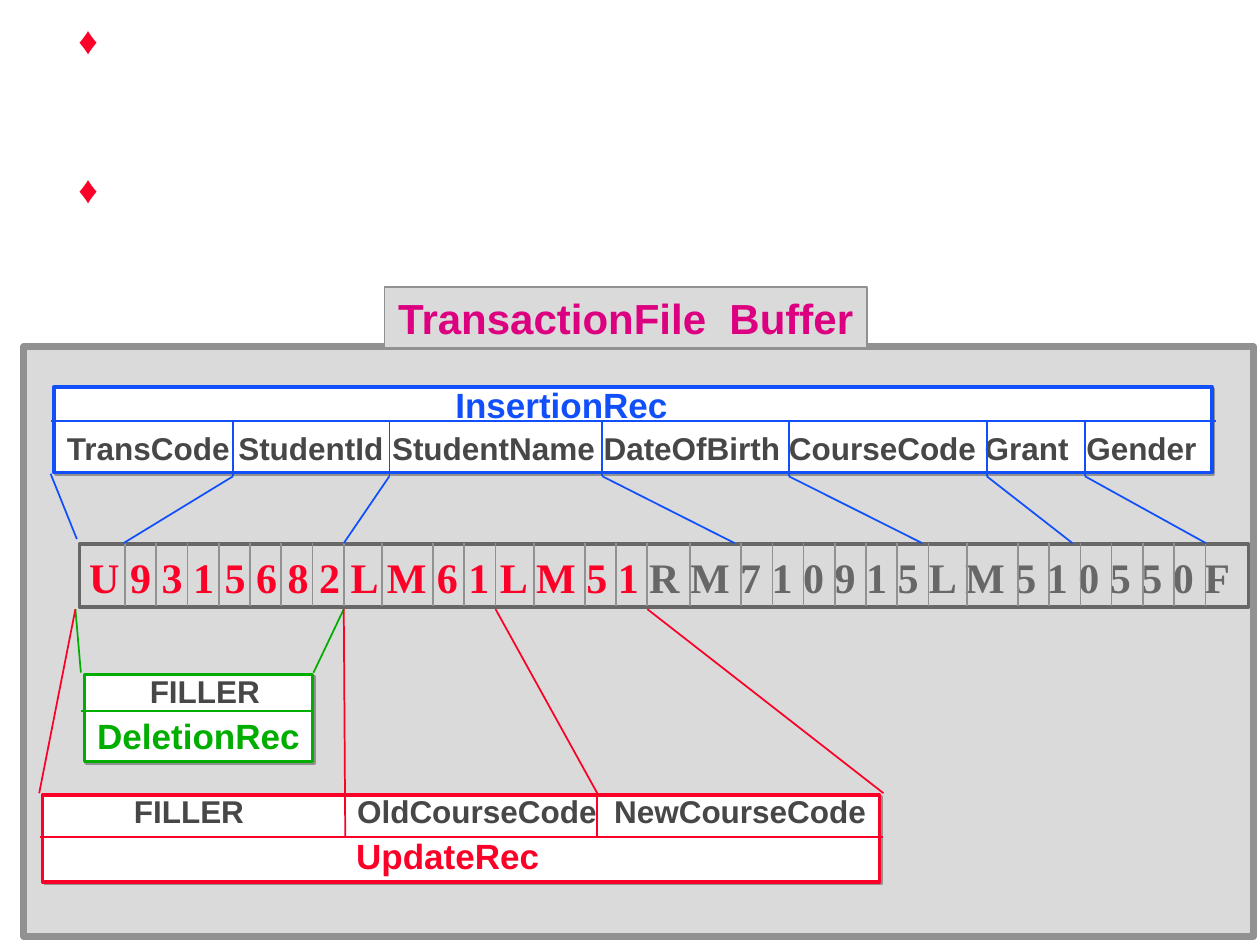
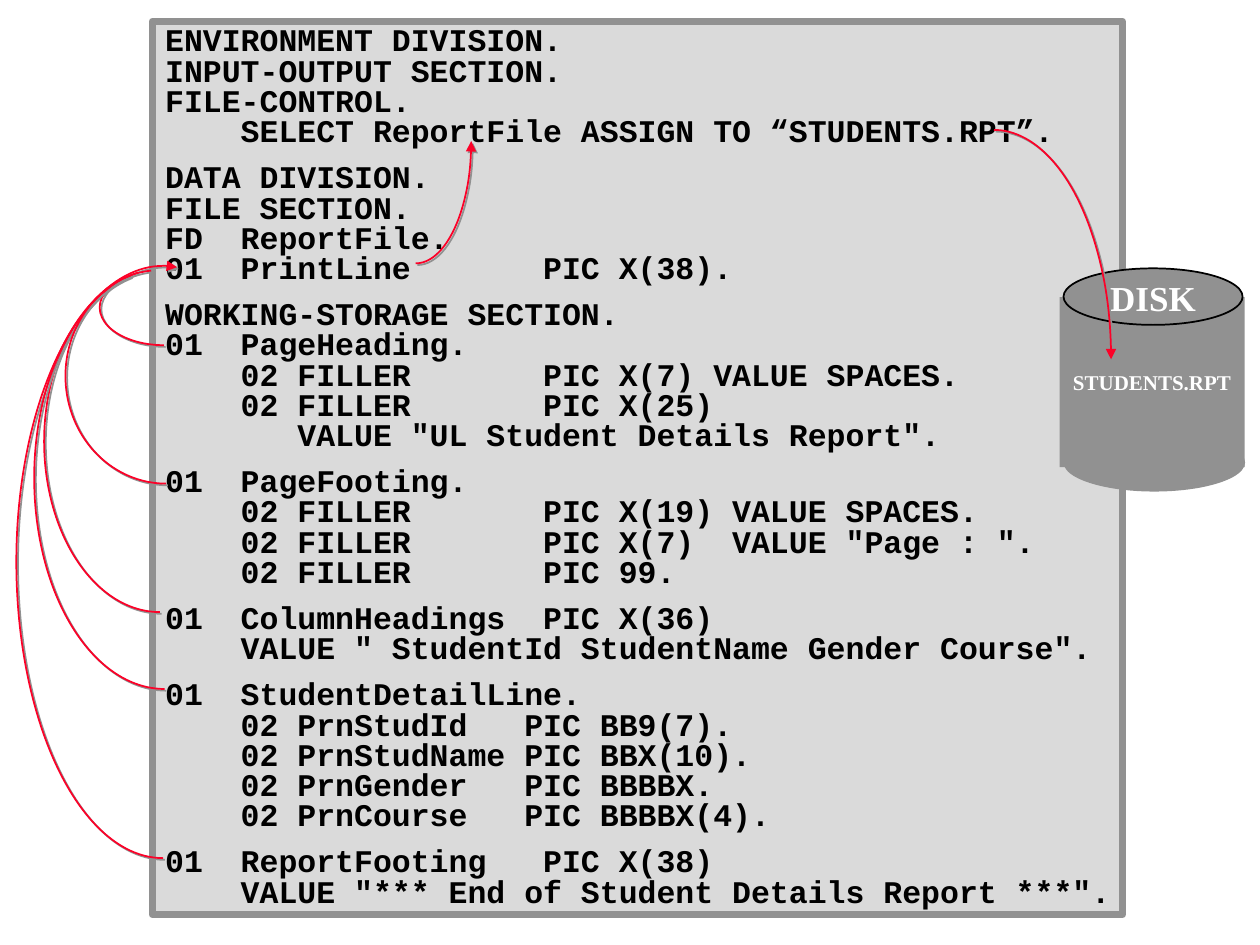
from itertools import accumulate, pairwise

from lxml.etree import SubElement
from pptx import Presentation
from pptx.dml.color import RGBColor
from pptx.enum.shapes import MSO_CONNECTOR, MSO_SHAPE as SHAPE
from pptx.enum.text import MSO_ANCHOR as ANCHOR, PP_ALIGN as ALIGN
from pptx.oxml.ns import qn
from pptx.util import Cm, Pt

WHITE, BLACK, PANEL, GREY = "FFFFFF", "000000", "DADADA", "919191"
DARK, LABEL = "676767", "474747"
RED, BLUE, GREEN, MAGENTA = "FC0128", "114FFB", "00AE00", "DC0081"
ARIAL, COURIER, TIMES = "Arial", "Courier New", "Times New Roman"

BULLETS = [(1.38, 0.29, 0.8, 1), (1.38, 3.29, 0.8, 1)]
BUFFER_PANEL = (0.48, 6.99, 24.79, 11.89)
BUFFER_TITLE = (7.75, 5.79, 9.73, 1.22)
BUFFER = (1.6, 10.97, 23.57, 1.27)
BUFFER_TEXT = [("U9315682LM61LM51", RED), ("RM710915LM510550F", DARK)]
CHAR_WIDTH = {"U": 0.92, "L": 0.77, "M": 1.03, "R": 0.86}
DIGIT_WIDTH = 0.63
CELL_TOP, CELL_BOTTOM = 10.95, 12.22
LINK_TOP = 12.28

NAME_STYLE = {"size": 20, "before": 8.8, "spacing": 0.75}
FIELD_STYLE = {"size": 18, "before": 7.9, "spacing": 0.75, "color": LABEL}
RECORDS = [
    {"box": (1.09, 7.8, 23.34, 1.73), "color": BLUE, "rule": (1.02, 24.51, 8.48),
     "lines": [("\tInsertionRec", [7.83], NAME_STYLE),
               ("TransCode StudentId StudentName DateOfBirth CourseCode Grant\tGender",
                [20.55], FIELD_STYLE)]},
    {"box": (1.7, 13.6, 4.6, 1.75), "color": GREEN, "rule": (1.63, 6.27, 14.33),
     "lines": [("\tFILLER", [1.06], FIELD_STYLE), ("DeletionRec", [], NAME_STYLE)]},
    {"box": (0.86, 16.03, 16.87, 1.75), "color": RED, "rule": (0.81, 17.81, 16.87),
     "lines": [("\tFILLER\tOldCourseCode\tNewCourseCode", [1.58, 6.08, 11.26], FIELD_STYLE),
               ("\tUpdateRec", [6.06], NAME_STYLE)]},
]

INSERTION_BOTTOM, DELETION_TOP, UPDATE_TOP, UPDATE_RULE = 9.6, 13.56, 15.99, 16.87
INSERTION_FIELDS = [(4.7, 2.49), (7.85, 6.93), (12.14, 14.81),
                    (15.9, 18.59), (19.89, 21.62), (21.87, 24.31)]
LOWER_LINKS = [(0, 1.63, DELETION_TOP, GREEN), (8, 6.32, DELETION_TOP, GREEN),
               (0, 0.79, UPDATE_TOP, RED), (8, 6.96, UPDATE_RULE, RED),
               (12, 12.04, UPDATE_TOP, RED), (16, 17.81, UPDATE_TOP, RED)]
OLD_NEW_DIVIDER = 12.04

CODE_PANEL = (3.07, 0.43, 19.56, 18.01)
CODE = [
    """ENVIRONMENT DIVISION.
INPUT-OUTPUT SECTION.
FILE-CONTROL.
    SELECT ReportFile ASSIGN TO “STUDENTS.RPT”.""",
    """DATA DIVISION.
FILE SECTION.
FD  ReportFile.
01  PrintLine       PIC X(38).""",
    """WORKING-STORAGE SECTION.
01  PageHeading.
    02 FILLER       PIC X(7) VALUE SPACES.
    02 FILLER       PIC X(25)
       VALUE "UL Student Details Report".""",
    """01  PageFooting.
    02 FILLER       PIC X(19) VALUE SPACES.
    02 FILLER       PIC X(7)  VALUE "Page : ".
    02 FILLER       PIC 99.""",
    """01  ColumnHeadings  PIC X(36)
    VALUE " StudentId StudentName Gender Course".""",
    """01  StudentDetailLine.
    02 PrnStudId   PIC BB9(7).
    02 PrnStudName PIC BBX(10).
    02 PrnGender   PIC BBBBX.
    02 PrnCourse   PIC BBBBX(4).""",
    """01  ReportFooting   PIC X(38)
    VALUE "*** End of Student Details Report ***".""",
]
ARC_UNITS_PER_DEGREE = 0.6
CODE_ARCS = [
    ((7.26, 0.38, 2.24, 4.93), 0, 90, "headEnd"),
    ((0.33, 5.36, 5.92, 11.94), 90, 272.7, "tailEnd"),
    ((0.89, 5.46, 4.67, 6.88), 90, 260, None),
    ((0.69, 5.38, 5.26, 8.51), 90, 258.3, None),
    ((2.01, 5.44, 2.59, 1.52), 90, 251, None),
    ((1.32, 5.41, 4.06, 4.34), 90, 255, None),
]
DISK_ARC = ((17.68, 2.62, 4.72, 9.25), 270, 0, "tailEnd")
DISK_STYLE = {"font": TIMES, "color": WHITE, "align": ALIGN.CENTER, "spacing": 1.03}
DISK = [
    (SHAPE.RECTANGLE, (21.36, 5.99, 3.73, 3.43), None, "STUDENTS.RPT", 12, 7.7),
    (SHAPE.OVAL, (21.44, 8.74, 3.66, 1.17), None, "", 0, 0),
    (SHAPE.OVAL, (21.44, 5.41, 3.61, 1.14), BLACK, "DISK", 20, 13),
]


def rgb(value):
    return RGBColor.from_string(value)


def add_box(slide, kind, box, fill=None, line=None, width=1):
    s = slide.shapes.add_shape(kind, *map(Cm, box))
    s.shadow.inherit = False
    if fill:
        s.fill.solid()
        s.fill.fore_color.rgb = rgb(fill)
    else:
        s.fill.background()
    if line:
        s.line.color.rgb = rgb(line)
        s.line.width = Pt(width)
    else:
        s.line.fill.background()
    return s


def add_drop_shadow(s):
    effects = s._element.spPr.find(qn("a:effectLst"))
    shadow = SubElement(effects, qn("a:outerShdw"), dist=str(Pt(1.4)), dir="2700000")
    SubElement(shadow, qn("a:srgbClr"), val=GREY)


def add_line(slide, start, end, color):
    s = slide.shapes.add_connector(MSO_CONNECTOR.STRAIGHT, *map(Cm, (*start, *end)))
    s.line.color.rgb = rgb(color)
    s.line.width = Pt(1)
    SubElement(s._element.spPr, qn("a:effectLst"))


def add_arc(slide, box, start, end, arrow):
    s = add_box(slide, SHAPE.ARC, box, line=RED)
    for i, angle in enumerate((start, end)):
        s.adjustments[i] = angle * ARC_UNITS_PER_DEGREE
    if arrow:
        SubElement(s.line._get_or_add_ln(), qn("a:" + arrow), type="triangle")
    add_drop_shadow(s)


def setup_text(s, wrap=True, anchor=ANCHOR.MIDDLE, left=0.26, top=0.13):
    tf = s.text_frame
    frame = {"word_wrap": wrap, "vertical_anchor": anchor,
             "margin_left": Cm(left), "margin_right": Cm(0 if wrap else left),
             "margin_top": Cm(top), "margin_bottom": Cm(top)}
    for name, value in frame.items():
        setattr(tf, name, value)
    return tf


def style_paragraph(p, size, color, font=ARIAL, align=ALIGN.LEFT, spacing=1.0,
                    before=0, after=0, tabs=()):
    layout = {"alignment": align, "line_spacing": spacing,
              "space_before": Pt(before), "space_after": Pt(after)}
    for name, value in layout.items():
        setattr(p, name, value)
    for r in p.runs:
        for name, value in {"name": font, "size": Pt(size), "bold": True}.items():
            setattr(r.font, name, value)
        r.font.color.rgb = rgb(color)
    if tabs:
        stops = SubElement(p._p.get_or_add_pPr(), qn("a:tabLst"))
        for tab in tabs:
            SubElement(stops, qn("a:tab"), pos=str(Cm(tab)), algn="l")


def write(tf, lines):
    for i, (text, style) in enumerate(lines):
        p = tf.add_paragraph() if i else tf.paragraphs[0]
        p.text = text
        style_paragraph(p, **style)


def add_record(slide, record):
    color = record["color"]
    s = add_box(slide, SHAPE.RECTANGLE, record["box"], WHITE, color, 2)
    add_drop_shadow(s)
    write(setup_text(s), [(text, {"color": color, **style, "tabs": tabs})
                          for text, tabs, style in record["lines"]])
    left, right, y = record["rule"]
    add_line(slide, (left, y), (right, y), color)


def add_buffer(slide, edges):
    s = add_box(slide, SHAPE.RECTANGLE, BUFFER, line=DARK, width=2)
    p = setup_text(s, left=0.2, top=0.1).paragraphs[0]
    for i, (chars, _) in enumerate(BUFFER_TEXT):
        r = p.add_run()
        r.text = " ".join(chars) + ("" if i else " ")
    style_paragraph(p, 24, RED, TIMES, spacing=1.03, after=15.5)
    for r, (_, color) in zip(p.runs, BUFFER_TEXT):
        r.font.color.rgb = rgb(color)
    for x in edges[1:-1]:
        add_line(slide, (x, CELL_TOP), (x, CELL_BOTTOM), GREY)


def build_buffer_slide(slide):
    for box in BULLETS:
        s = slide.shapes.add_textbox(*map(Cm, box))
        write(setup_text(s, wrap=False, left=0, top=0),
              [("♦", {"size": 22, "color": RED, "align": ALIGN.CENTER})])
    add_box(slide, SHAPE.RECTANGLE, BUFFER_PANEL, PANEL, GREY, 4)
    for record in RECORDS:
        add_record(slide, record)

    chars = "".join(text for text, _ in BUFFER_TEXT)
    widths = [CHAR_WIDTH.get(c, DIGIT_WIDTH) for c in chars]
    edges = list(accumulate(widths, initial=BUFFER[0]))
    add_buffer(slide, edges)

    add_line(slide, (1.02, 9.55), (1.55, 10.87), BLUE)
    for x, cell_x in INSERTION_FIELDS:
        route = [(x, RECORDS[0]["rule"][2]), (x, INSERTION_BOTTOM), (cell_x, CELL_TOP)]
        for start, end in pairwise(route):
            add_line(slide, start, end, BLUE)
    for cell, x, y, color in LOWER_LINKS:
        start = edges[cell] if cell else edges[0] - 0.08
        add_line(slide, (start, LINK_TOP), (x, y), color)
    add_line(slide, (OLD_NEW_DIVIDER, UPDATE_TOP), (OLD_NEW_DIVIDER, UPDATE_RULE), RED)

    s = add_box(slide, SHAPE.RECTANGLE, BUFFER_TITLE, PANEL, GREY)
    write(setup_text(s, wrap=False, top=0.1),
          [("TransactionFile  Buffer", {"size": 24, "color": MAGENTA, "align": ALIGN.CENTER})])


def build_code_slide(slide):
    s = add_box(slide, SHAPE.RECTANGLE, CODE_PANEL, PANEL, GREY, 4)
    code_style = {"size": 18, "color": BLACK, "font": COURIER, "spacing": 0.8, "before": 9}
    write(setup_text(s, anchor=ANCHOR.TOP), [(block, code_style) for block in CODE])
    for arc in CODE_ARCS:
        add_arc(slide, *arc)
    for kind, box, line, text, size, after in DISK:
        s = add_box(slide, kind, box, GREY, line)
        if text:
            write(setup_text(s, wrap=False),
                  [(text, {**DISK_STYLE, "size": size, "after": after})])
    add_arc(slide, *DISK_ARC)


def main():
    prs = Presentation()
    prs.slide_width, prs.slide_height = Cm(25.4), Cm(19.05)
    for build in (build_buffer_slide, build_code_slide):
        build(prs.slides.add_slide(prs.slide_layouts[6]))
    prs.save("out.pptx")


if __name__ == "__main__":
    main()
